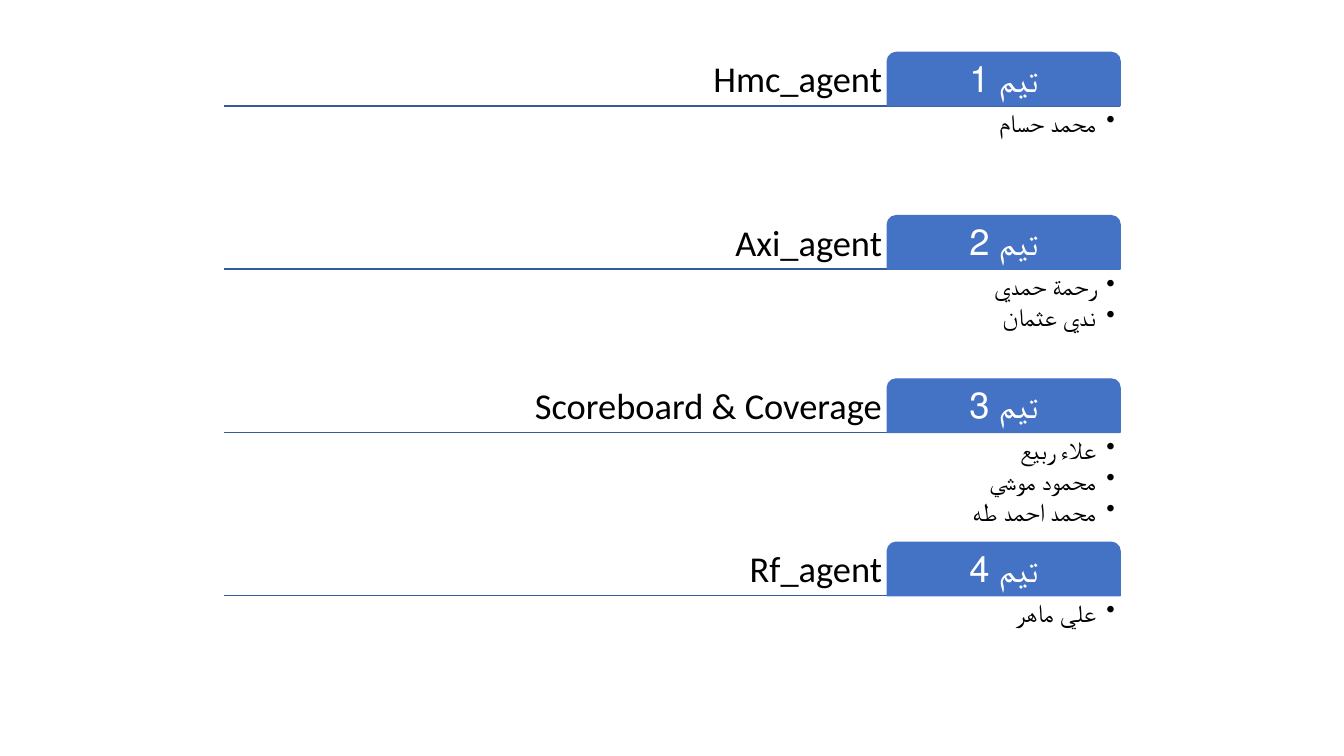
import pptx
import pptx.dml.color
import pptx.enum.shapes
import pptx.enum.text
import pptx.oxml.ns
import pptx.util
import lxml.etree

TEAMS = [
    ("تيم 1", "Hmc_agent", ["محمد حسام"]),
    ("تيم 2", "Axi_agent", ["رحمة حمدي", "ندي عثمان"]),
    ("تيم 3", "Scoreboard & Coverage", ["علاء ربيع", "محمود موسي", "محمد احمد طه"]),
    ("تيم 4", "Rf_agent", ["علي ماهر"]),
]

SCALE = 9144  # EMU in one px, 100 px to the inch
WIDE, HIGH = 1333, 750
LEFT, SPLIT, RIGHT = 222, 880, 1111
TOP, PITCH = 52, 162
HEAD, BODY = 53, 106
INSET, INDENT = 5, 19
BLUE, RULE, BLACK, WHITE = "4472C4", "365B9D", "000000", "FFFFFF"
FONT = "Calibri"

ALIGN = pptx.enum.text.PP_ALIGN
ANCHOR = pptx.enum.text.MSO_ANCHOR
qn = pptx.oxml.ns.qn


def px(*nums):
    return [pptx.util.Emu(num * SCALE) for num in nums]


def tint(code):
    return pptx.dml.color.RGBColor.from_string(code)


def write(shape, lines, size, color, align, anchor):
    """Fill a shape with one paragraph per line."""
    frame = shape.text_frame
    frame.word_wrap = True
    frame.vertical_anchor = anchor
    frame.margin_left, frame.margin_top, frame.margin_right, frame.margin_bottom = px(*[INSET] * 4)
    frame.text = "\n".join(lines)
    for para in frame.paragraphs:
        para.alignment = align
        para.line_spacing = 0.9
        font = para.runs[0].font
        font.name, font.size = FONT, pptx.util.Pt(size)
        font.color.rgb = tint(color)


def bullet(para):
    """Make a paragraph a bulleted right-to-left item."""
    para.space_after = pptx.util.Pt(2.7)
    props = para._p.get_or_add_pPr()
    gap = INDENT * SCALE
    for key, value in {"marL": gap, "indent": -gap, "rtl": 1}.items():
        props.set(key, str(value))
    lxml.etree.SubElement(props, qn("a:buChar")).set("char", "•")


def draw_rule(shapes, y):
    rule = shapes.add_connector(
        pptx.enum.shapes.MSO_CONNECTOR.STRAIGHT, *px(LEFT, y, RIGHT, y))
    rule.line.color.rgb = tint(RULE)
    rule.line.width = pptx.util.Pt(1)
    lxml.etree.SubElement(rule._element.spPr, qn("a:effectLst"))


def draw_tab(shapes, name, top):
    tab = shapes.add_shape(
        pptx.enum.shapes.MSO_SHAPE.ROUND_2_SAME_RECTANGLE,
        *px(SPLIT, top, RIGHT - SPLIT, HEAD))
    tab.shadow.inherit = False
    tab.fill.solid()
    tab.fill.fore_color.rgb = tint(BLUE)
    tab.line.color.rgb = tint(BLUE)
    tab.line.width = pptx.util.Pt(1)
    write(tab, [name], 26, WHITE, ALIGN.CENTER, ANCHOR.MIDDLE)


def draw_team(shapes, name, task, members, top):
    base = top + HEAD
    draw_rule(shapes, base)
    label = shapes.add_textbox(*px(LEFT, top, SPLIT - LEFT, HEAD))
    write(label, [task], 26, BLACK, ALIGN.RIGHT, ANCHOR.BOTTOM)
    draw_tab(shapes, name, top)
    roster = shapes.add_textbox(*px(LEFT, base, RIGHT - LEFT, BODY))
    write(roster, members, 18, BLACK, ALIGN.RIGHT, ANCHOR.TOP)
    for para in roster.text_frame.paragraphs:
        bullet(para)


def main():
    deck = pptx.Presentation()
    deck.slide_width, deck.slide_height = px(WIDE, HIGH)
    slide = deck.slides.add_slide(deck.slide_layouts[6])
    for row, (name, task, members) in enumerate(TEAMS):
        draw_team(slide.shapes, name, task, members, TOP + row * PITCH)
    deck.save("out.pptx")


if __name__ == "__main__":
    main()
